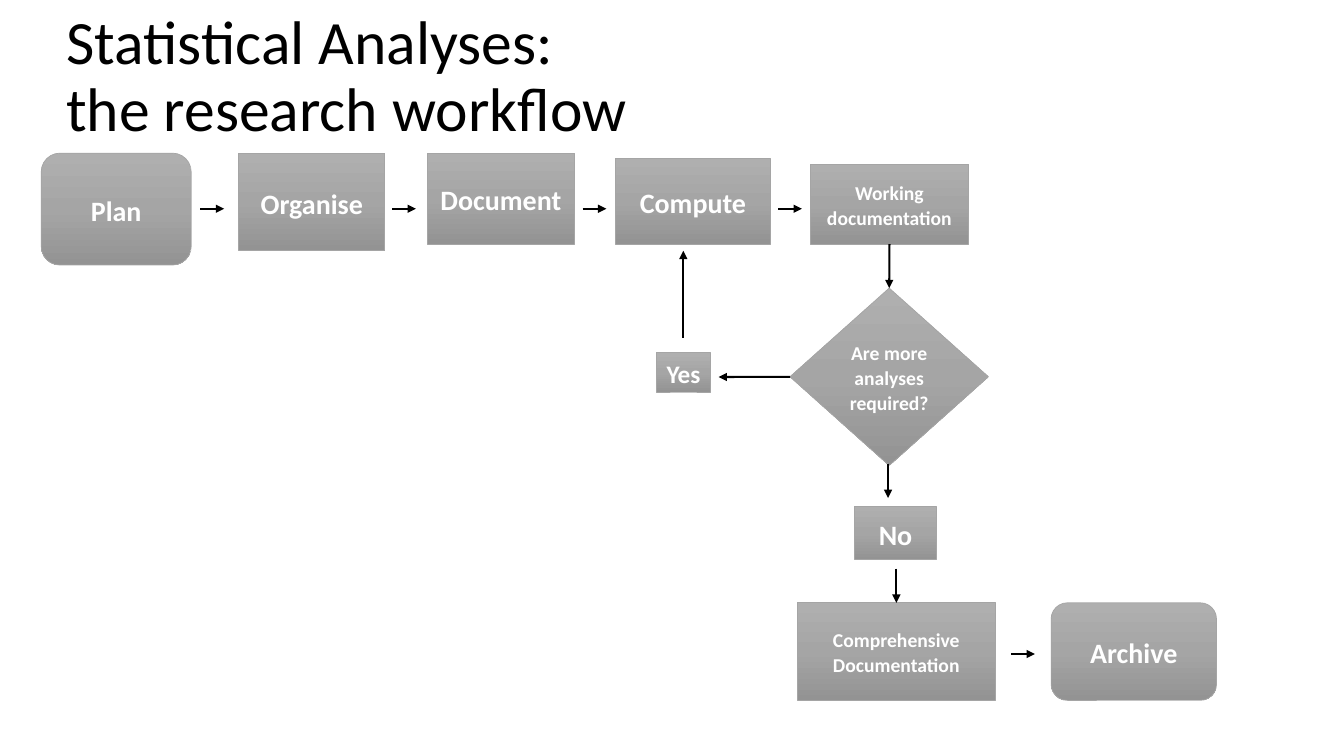
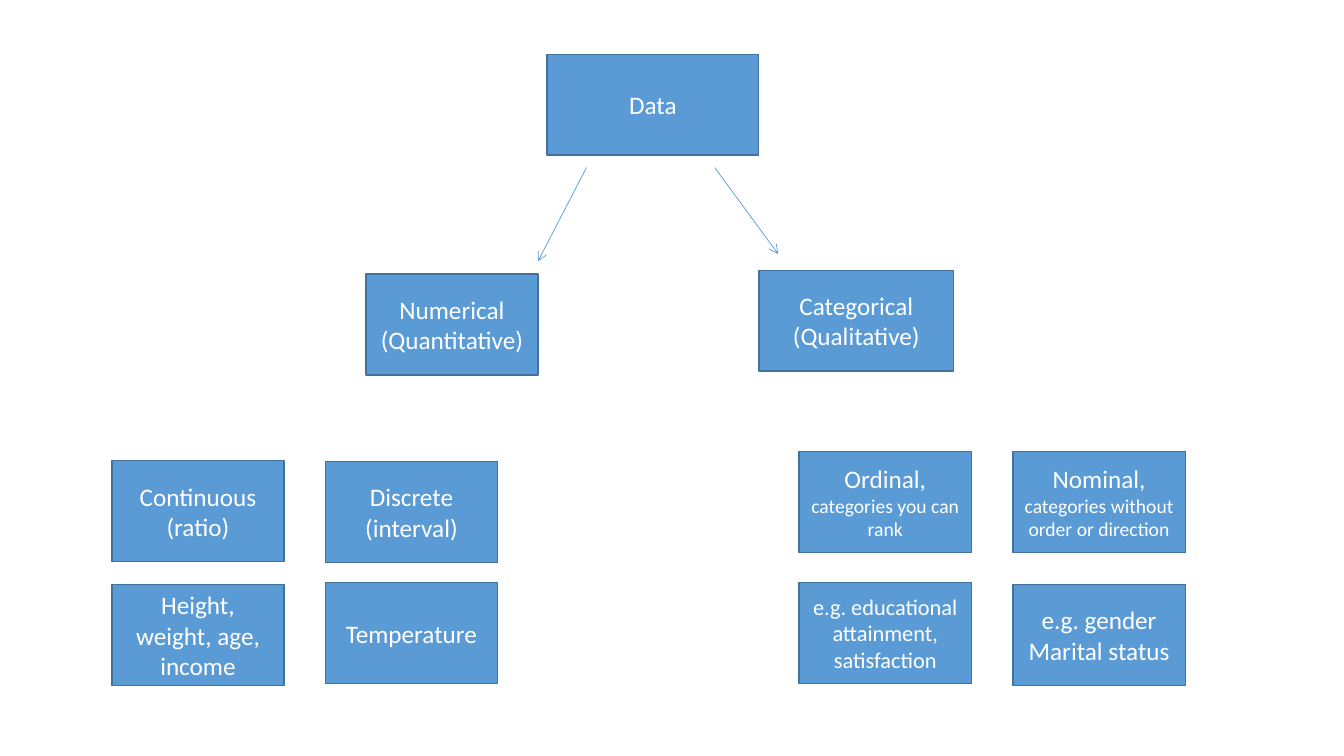
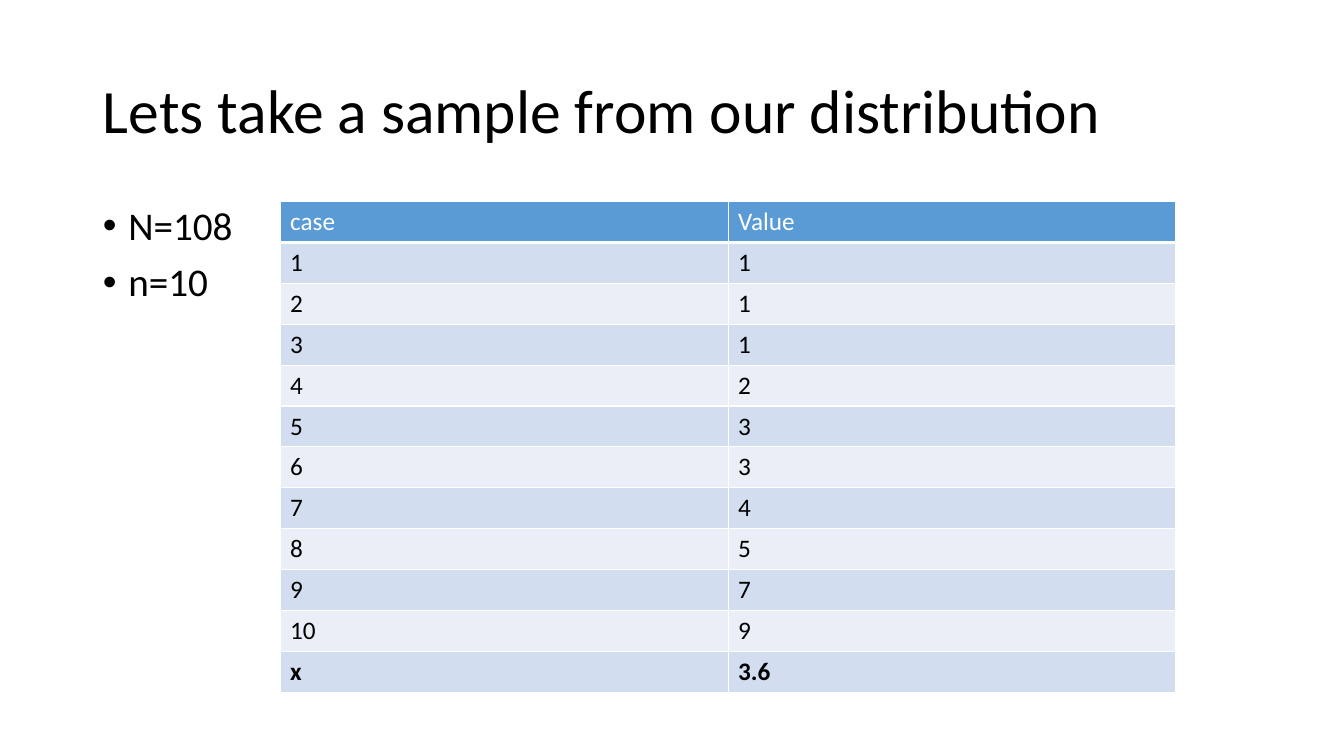
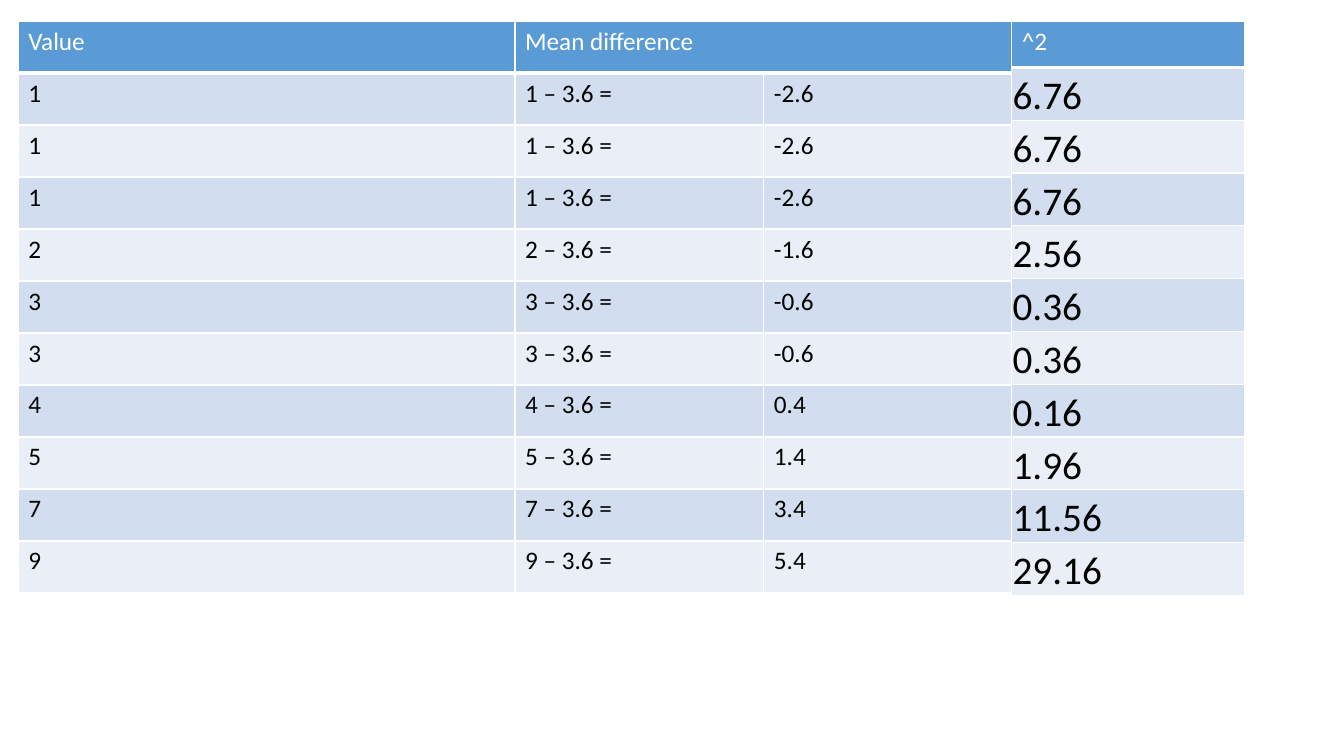
from dataclasses import dataclass

from lxml.etree import SubElement
from pptx import Presentation
from pptx.dml.color import RGBColor
from pptx.enum.shapes import MSO_CONNECTOR, MSO_SHAPE
from pptx.enum.text import MSO_ANCHOR, MSO_AUTO_SIZE, PP_ALIGN
from pptx.oxml.ns import qn
from pptx.util import Cm, Pt

TOP, LEFT, BOTTOM = 0, 1, 2
MEAN = 3.6
SAMPLE = (1, 1, 1, 2, 3, 3, 4, 5, 7, 9)


@dataclass(frozen=True)
class Theme:
    font: str = "Calibri"
    text: str = "000000"
    light: str = "FFFFFF"
    accent: str = "5B9BD5"
    accent_edge: str = "41719C"
    band_dark: str = "D2DEEF"
    band_light: str = "EAEFF7"
    step_edge: str = "A5A5A5"
    step_gradient: tuple = ((0, "AFAFAF"), (50, "A5A5A5"), (100, "939393"))
    title_size: int = 44
    list_size: int = 28
    step_size: int = 20
    base_size: int = 18
    medium_size: int = 16
    small_size: int = 14


@dataclass
class Joint:
    shape: object
    site: int


class Deck:
    def __init__(self, theme):
        self.theme = theme
        self.presentation = Presentation()
        self.presentation.slide_width = Cm(33.87)
        self.presentation.slide_height = Cm(19.05)
        self.slide = None

    def add_slide(self, layout):
        layouts = self.presentation.slide_layouts
        self.slide = self.presentation.slides.add_slide(layouts.get_by_name(layout))

    def add_run(self, paragraph, text, size, color, bold=False):
        run = paragraph.add_run()
        run.text = text
        run.font.name = self.theme.font
        run.font.size = Pt(size)
        run.font.bold = bold
        run.font.color.rgb = RGBColor.from_string(color)

    def place(self, shape, at):
        shape.left, shape.top, shape.width, shape.height = map(Cm, at)

    def title(self, lines, at):
        title = self.slide.shapes.title
        self.place(title, at)
        frame = title.text_frame
        frame.word_wrap = True
        frame.auto_size = MSO_AUTO_SIZE.NONE
        frame.vertical_anchor = MSO_ANCHOR.MIDDLE
        paragraph = frame.paragraphs[0]
        paragraph.alignment = PP_ALIGN.LEFT
        paragraph.line_spacing = 0.9
        for index, line in enumerate(lines):
            if index:
                paragraph.add_line_break()
            self.add_run(paragraph, line, self.theme.title_size, self.theme.text)

    def bullets(self, items, at):
        body = self.slide.placeholders[1]
        self.place(body, at)
        frame = body.text_frame
        frame.auto_size = MSO_AUTO_SIZE.NONE
        for index, item in enumerate(items):
            paragraph = frame.add_paragraph() if index else frame.paragraphs[0]
            properties = paragraph._p.get_or_add_pPr()
            properties.set("marL", str(Cm(0.64)))
            properties.set("indent", str(-Cm(0.64)))
            SubElement(properties, qn("a:buFont")).set("typeface", "Arial")
            SubElement(properties, qn("a:buChar")).set("char", "•")
            paragraph.line_spacing = 0.9
            paragraph.space_before = Pt(10 if index else 0)
            self.add_run(paragraph, item, self.theme.list_size, self.theme.text)

    def box(self, paragraphs, at, size, kind=MSO_SHAPE.RECTANGLE, bold=False):
        shape = self.slide.shapes.add_shape(kind, *map(Cm, at))
        shape.shadow.inherit = False
        shape.fill.solid()
        shape.fill.fore_color.rgb = RGBColor.from_string(self.theme.accent)
        shape.line.color.rgb = RGBColor.from_string(self.theme.accent_edge)
        shape.line.width = Pt(1)
        frame = shape.text_frame
        frame.word_wrap = True
        frame.vertical_anchor = MSO_ANCHOR.MIDDLE
        for index, runs in enumerate(paragraphs):
            paragraph = frame.add_paragraph() if index else frame.paragraphs[0]
            paragraph.alignment = PP_ALIGN.CENTER
            for text, run_size in [(runs, size)] if isinstance(runs, str) else runs:
                self.add_run(paragraph, text, run_size, self.theme.light, bold)
        return shape

    def step(self, text, at, size, kind=MSO_SHAPE.RECTANGLE):
        shape = self.box([text], at, size, kind, bold=True)
        shape.fill.gradient()
        shape.fill.gradient_angle = 270
        stops = next(shape.element.iter(qn("a:gsLst")))
        stops.clear()
        for position, color in self.theme.step_gradient:
            stop = SubElement(stops, qn("a:gs"), pos=str(position * 1000))
            SubElement(stop, qn("a:srgbClr"), val=color)
        shape.line.color.rgb = RGBColor.from_string(self.theme.step_edge)
        shape.line.width = Pt(0.5)
        frame = shape.text_frame
        frame.margin_left = frame.margin_right = Cm(0.1)
        frame.paragraphs[0].line_spacing = 1.07
        return shape

    def arrow(self, start, end, color, width, head):
        points = [(0, 0) if isinstance(end_point, Joint) else end_point
                  for end_point in (start, end)]
        connector = self.slide.shapes.add_connector(
            MSO_CONNECTOR.STRAIGHT, *map(Cm, points[0] + points[1]))
        if isinstance(start, Joint):
            connector.begin_connect(start.shape, start.site)
        if isinstance(end, Joint):
            connector.end_connect(end.shape, end.site)
        connector.line.color.rgb = RGBColor.from_string(color)
        connector.line.width = Pt(width)
        line = next(connector.element.iter(qn("a:ln")))
        SubElement(line, qn("a:tailEnd"), type=head)
        SubElement(line.getparent(), qn("a:effectLst"))

    def flow_arrow(self, start, end):
        self.arrow(start, end, self.theme.text, 1.5, "triangle")

    def branch_arrow(self, start, end):
        self.arrow(start, end, self.theme.accent, 0.5, "arrow")

    def cell_borders(self, cell, is_header):
        properties = cell._tc.get_or_add_tcPr()
        widths = {"L": 1, "R": 1, "B": 3 if is_header else 1}
        if is_header:
            widths["T"] = 1
        for side in "LRTB":
            if side in widths:
                line = SubElement(properties, qn(f"a:ln{side}"), w=str(Pt(widths[side])))
                fill = SubElement(line, qn("a:solidFill"))
                SubElement(fill, qn("a:srgbClr"), val=self.theme.light)

    def table(self, rows, at, widths, header_height, row_height,
              bold_last=False, large=False):
        height = header_height + row_height * (len(rows) - 1)
        frame = self.slide.shapes.add_table(
            len(rows), len(widths), *map(Cm, (*at, sum(widths), height)))
        table = frame.table
        for column, width in zip(table.columns, widths):
            column.width = Cm(width)
        for index, values in enumerate(rows):
            is_header = index == 0
            table.rows[index].height = Cm(header_height if is_header else row_height)
            band = self.theme.band_dark if index % 2 else self.theme.band_light
            for column, value in enumerate(values):
                cell = table.cell(index, column)
                self.cell_borders(cell, is_header)
                cell.fill.solid()
                cell.fill.fore_color.rgb = RGBColor.from_string(
                    self.theme.accent if is_header else band)
                size = self.theme.base_size
                if large and not is_header:
                    size = self.theme.list_size
                    cell.vertical_anchor = MSO_ANCHOR.BOTTOM
                    cell.margin_left = cell.margin_right = cell.margin_top = Cm(0.02)
                    cell.margin_bottom = 0
                if value:
                    self.add_run(cell.text_frame.paragraphs[0], value, size,
                                 self.theme.light if is_header else self.theme.text,
                                 bold_last and index == len(rows) - 1)
        return table


def workflow_slide(deck):
    theme = deck.theme
    deck.add_slide("Title Only")
    deck.title(["Statistical Analyses:", "the research workflow"], (1.42, 0.13, 29.21, 3.68))
    rounded = MSO_SHAPE.ROUNDED_RECTANGLE
    deck.step("Plan", (1.04, 3.86, 3.78, 2.82), theme.step_size, rounded)
    deck.step("Organise", (6.02, 3.86, 3.68, 2.46), theme.step_size)
    deck.step("Document", (10.77, 3.86, 3.71, 2.29), theme.step_size)
    deck.step("Compute", (15.52, 3.99, 3.89, 2.16), theme.step_size)
    working = deck.step("Working documentation", (20.42, 4.14, 3.99, 2.01), theme.small_size)
    decision = deck.step("Are more analyses required?", (19.91, 7.26, 5, 4.47),
                         theme.small_size, MSO_SHAPE.DIAMOND)
    deck.step("No", (21.54, 12.75, 2.06, 1.35), theme.step_size)
    deck.step("Yes", (16.54, 8.89, 1.37, 0.99), theme.base_size)
    comprehensive = deck.step("Comprehensive Documentation", (20.09, 15.19, 5, 2.46),
                              theme.small_size)
    deck.step("Archive", (26.49, 15.19, 4.17, 2.46), theme.step_size, rounded)

    for left, top in ((5.05, 5.26), (9.88, 5.26), (14.68, 5.26), (19.61, 5.26), (25.48, 16.48)):
        deck.flow_arrow((left, top), (left + 0.6, top))
    deck.flow_arrow(Joint(working, BOTTOM), Joint(decision, TOP))
    deck.flow_arrow((22.38, 11.68), (22.38, 12.55))
    deck.flow_arrow((22.59, 14.33), Joint(comprehensive, TOP))
    deck.flow_arrow(Joint(decision, LEFT), (18.11, 9.5))
    deck.flow_arrow((17.22, 8.51), (17.22, 6.32))


def data_types_slide(deck):
    theme = deck.theme
    deck.add_slide("Blank")
    height, leaf_width = 2.54, 4.34
    deck.box(["Data"], (13.79, 1.37, 5.33, height), theme.base_size)
    deck.box(["Numerical", "(Quantitative)"], (9.22, 6.91, leaf_width, height), theme.base_size)
    deck.box(["Categorical", "(Qualitative)"], (19.13, 6.81, 4.9, height), theme.base_size)
    deck.branch_arrow((18.01, 4.22), (19.61, 6.4))
    deck.branch_arrow((14.78, 4.22), (13.56, 6.58))

    ordinal = [("Ordinal, ", theme.base_size), ("categories you can rank", theme.small_size)]
    nominal = [("Nominal, ", theme.base_size),
               ("categories without order or direction", theme.small_size)]
    education = [("e.g. educational attainment, satisfaction", theme.medium_size)]
    leaves = (
        (2.82, 11.61, ["Continuous", "(ratio)"], 14.73, ["Height, weight, age, income"]),
        (8.2, 11.63, ["Discrete (interval)"], 14.68, ["Temperature"]),
        (20.14, 11.38, [ordinal], 14.68, [education]),
        (25.53, 11.38, [nominal], 14.73, ["e.g. gender", "Marital status"]),
    )
    for left, type_top, type_text, example_top, example in leaves:
        deck.box(type_text, (left, type_top, leaf_width, height), theme.base_size)
        deck.box(example, (left, example_top, leaf_width, height), theme.base_size)


def sample_slide(deck):
    deck.add_slide("Title and Content")
    deck.title(["Lets take a sample from our distribution"], (2.34, 1.02, 29.21, 3.68))
    deck.bullets(["N=108", "n=10"], (2.34, 5.08, 29.21, 12.09))
    cases = [(str(case), str(value)) for case, value in enumerate(SAMPLE, 1)]
    deck.table([("case", "Value"), *cases, ("x", str(MEAN))], (7.06, 5.08),
               (11.29, 11.29), 1.03, 1.03, bold_last=True)


def differences_slide(deck):
    deck.add_slide("Blank")
    differences = [(str(value), f"{value} – {MEAN} =", f"{value - MEAN:.1f}")
                   for value in SAMPLE]
    table = deck.table([("Value", "Mean difference", ""), *differences], (0.46, 0.53),
                       (12.52, 6.27, 6.27), 1.31, 1.31)
    table.cell(0, 1).merge(table.cell(0, 2))
    squares = [(f"{(value - MEAN) ** 2:.2f}",) for value in SAMPLE]
    deck.table([("^2",), *squares], (25.5, 0.53), (5.87,), 1.17, 1.33, large=True)


def main():
    deck = Deck(Theme())
    workflow_slide(deck)
    data_types_slide(deck)
    sample_slide(deck)
    differences_slide(deck)
    deck.presentation.save("out.pptx")


if __name__ == "__main__":
    main()
